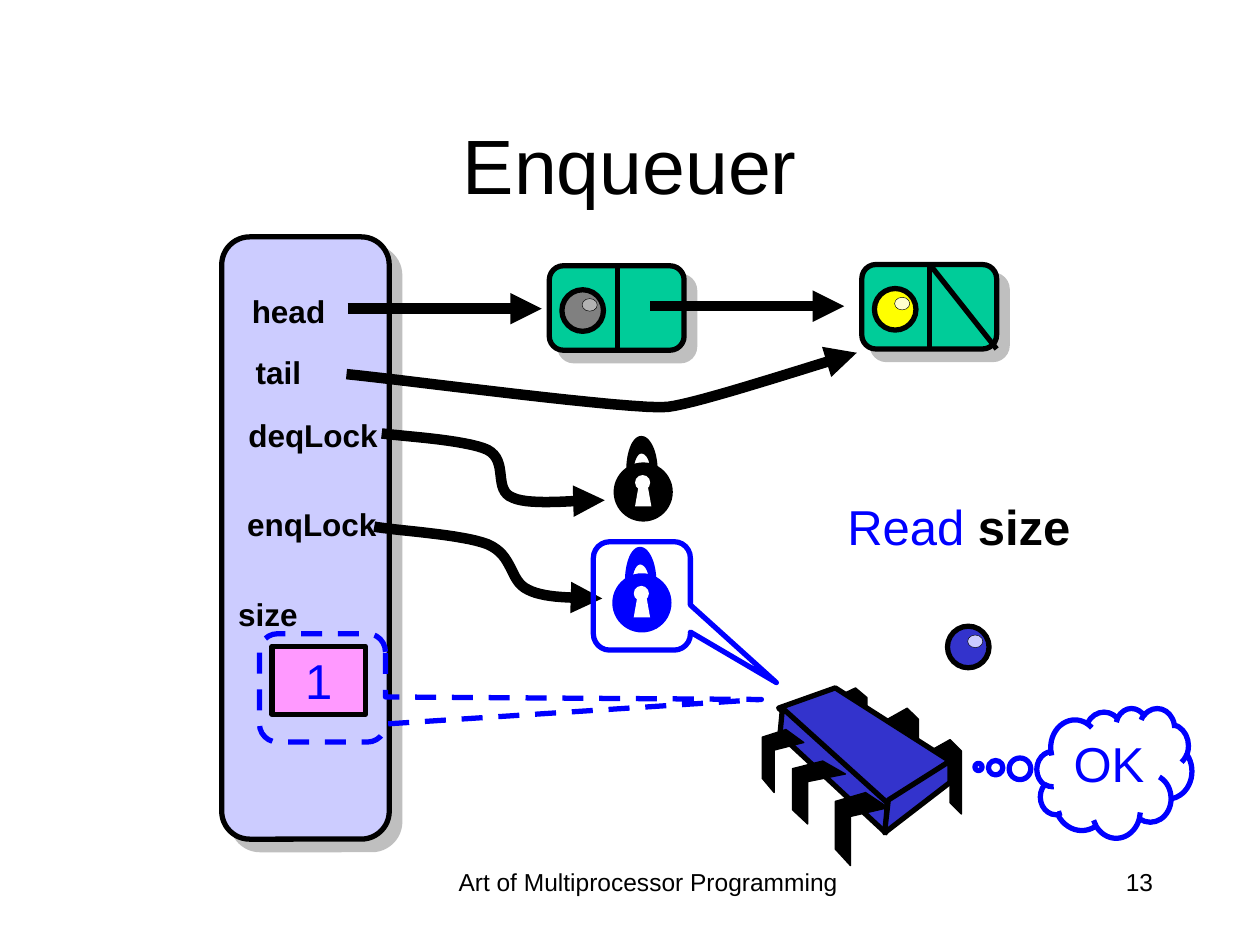
from dataclasses import dataclass
from lxml import etree
from pptx import Presentation
from pptx.dml.color import RGBColor
from pptx.enum.dml import MSO_LINE
from pptx.enum.shapes import MSO_CONNECTOR, MSO_SHAPE
from pptx.enum.text import MSO_ANCHOR, MSO_AUTO_SIZE, PP_ALIGN
from pptx.oxml.ns import qn
from pptx.util import Pt

PX = 9144  # 100 px to the inch
OVAL, RECT, ROUND = MSO_SHAPE.OVAL, MSO_SHAPE.RECTANGLE, MSO_SHAPE.ROUNDED_RECTANGLE
BUBBLE, CLOUD = MSO_SHAPE.ROUNDED_RECTANGULAR_CALLOUT, MSO_SHAPE.CLOUD_CALLOUT
STRAIGHT, DASH = MSO_CONNECTOR.STRAIGHT, MSO_LINE.DASH
CENTER, RIGHT = PP_ALIGN.CENTER, PP_ALIGN.RIGHT
TOP, MIDDLE, GROW = MSO_ANCHOR.TOP, MSO_ANCHOR.MIDDLE, MSO_AUTO_SIZE.SHAPE_TO_FIT_TEXT


@dataclass(frozen=True)
class Theme:
    font: str = "Arial"
    title: int = 44
    note: int = 28
    label: int = 18
    foot: int = 14
    thin: float = 0.25
    edge: float = 0.75
    line: int = 3
    arrow: int = 6
    black: str = "000000"
    white: str = "FFFFFF"
    blue: str = "0000FF"
    panel: str = "CCCCFF"
    node: str = "00CC99"
    chip: str = "3333CC"
    cell: str = "FF99FF"
    shade: str = "808080"
    grey: tuple = ("808080", "B2B2B2")
    yellow: tuple = ("FFFF00", "FFFFCC")
    indigo: tuple = ("3333CC", "CCCCFF")


T = Theme()
BACK_LEG = [(0, 9), (16, 0), (25, 9), (25, 59), (16, 50), (16, 17), (0, 25)]
FRONT_LEG = [(24, 0), (42, 12), (12, 19), (12, 58), (0, 45), (0, 7)]


def paint(shape, fill=None, line=None, width=T.line):
    shape.shadow.inherit = False
    if fill:
        shape.fill.solid()
        shape.fill.fore_color.rgb = RGBColor.from_string(fill)
    else:
        shape.fill.background()
    if line:
        shape.line.color.rgb = RGBColor.from_string(line)
        shape.line.width = Pt(width)
    else:
        shape.line.fill.background()
    return shape


def add(host, kind, box, *style, adj=()):
    shape = host.add_shape(kind, *(v * PX for v in box))
    for i, value in enumerate(adj):
        shape.adjustments[i] = value
    return paint(shape, *style)


def cast(shape):
    """Give the shape a half-clear shadow to the lower right."""
    effects = shape._element.spPr.find(qn("a:effectLst"))
    outer = etree.SubElement(effects, qn("a:outerShdw"), dist=str(Pt(8.5)),
                             dir="2700000", algn="ctr", rotWithShape="0")
    colour = etree.SubElement(outer, qn("a:srgbClr"), val=T.shade)
    etree.SubElement(colour, qn("a:alpha"), val="50000")


def draw(host, points, *style, close=True, at=(0, 0)):
    dots = [((x + at[0]) * PX, (y + at[1]) * PX) for x, y in points]
    pen = host.build_freeform(*dots[0], scale=1.0)
    pen.add_line_segments(dots[1:], close=close)
    return paint(pen.convert_to_shape(), *style)


def curve(points, steps=16):
    """Trace joined cubic curves: a start point, then three points for each."""
    trail = [points[0]]
    for k in range(0, len(points) - 1, 3):
        for t in (i / steps for i in range(1, steps + 1)):
            u = 1 - t
            parts = (u**3, 3 * u * u * t, 3 * u * t * t, t**3)
            quad = points[k:k + 4]
            trail.append(tuple(sum(w * p[axis] for w, p in zip(parts, quad))
                               for axis in (0, 1)))
    return trail


def point(line):
    """Put an arrowhead at the end."""
    etree.SubElement(line.line._get_or_add_ln(), qn("a:tailEnd"), type="triangle")


def link(host, start, end, width=T.line):
    line = host.add_connector(STRAIGHT, *(v * PX for v in (*start, *end)))
    line.line.color.rgb = RGBColor.from_string(T.black)
    line.line.width = Pt(width)
    etree.SubElement(line._element.spPr, qn("a:effectLst"))
    return line


def write(shape, runs, size, align=CENTER, anchor=TOP, wrap=True):
    """Fill the shape with runs of (text, colour, bold)."""
    frame = shape.text_frame
    frame.word_wrap, frame.vertical_anchor = wrap, anchor
    para = frame.paragraphs[0]
    para.alignment = align
    for text, colour, bold in runs:
        run = para.add_run()
        run.text = text
        run.font.name, run.font.size, run.font.bold = T.font, Pt(size), bold
        run.font.color.rgb = RGBColor.from_string(colour)
    return frame


def text(host, box, runs, size, **look):
    return write(host.add_textbox(*(v * PX for v in box)), runs, size, **look)


def ball(host, x, y, colours):
    group = host.add_group_shape().shapes
    add(group, OVAL, (x, y, 33, 33), colours[0], T.black)
    add(group, OVAL, (x + 16, y + 7, 12, 10), colours[1], T.black, T.thin)


def node(host, x, y, colours, last=False):
    w, h, mid = 107, 67, x + 54
    group = host.add_group_shape().shapes
    cast(add(group, ROUND, (x, y, w, h), T.node, T.black))
    link(group, (mid, y), (mid, y + h))
    if last:
        link(host, (mid, y), (x + w, y + h))
    ball(host, x + 10, y + 19, colours)


def lock(host, x, y, colour):
    group = host.add_group_shape().shapes
    add(group, OVAL, (x, y + 21, 47, 47), colour)
    add(group, OVAL, (x + 17, y + 31, 12, 12), T.white)
    draw(group, [(17, 56), (20, 39), (27, 39), (30, 56)], T.white, at=(x, y))
    inner = curve([(16, 28), (16, 20), (19, 14), (22, 14), (26, 14), (29, 20), (29, 28)])
    outer = curve([(35, 28), (35, 12), (29, 0), (22, 0), (15, 0), (10, 12), (10, 28)])
    draw(group, inner + outer, colour, at=(x, y))


def chip(host, x, y):
    group = host.add_group_shape().shapes

    def legs(shape, spots):
        wide, high = (max(v) for v in zip(*shape))
        for dx, dy, w, h in spots:
            form = [(px * w / wide, py * h / high) for px, py in shape]
            draw(group, form, T.black, T.black, T.edge, at=(x + dx, y + dy))

    legs(BACK_LEG, [(133, 41, 25, 59), (99, 16, 25, 59), (58, 0, 25, 50)])
    faces = ([(58, 0), (149, 58), (98, 93), (13, 16)],
             [(16, 16), (99, 91), (98, 115), (14, 37)],
             [(149, 58), (149, 75), (97, 115), (100, 89)])
    for face in faces:
        draw(group, face, T.chip, T.black, at=(x, y))
    legs(FRONT_LEG, [(58, 83, 42, 58), (24, 58, 42, 50), (0, 33, 33, 50)])


def queue(host, x, y):
    cast(add(host, ROUND, (x, y, 133, 478), T.panel, T.black))
    labels = (("head", 12, 39, 82), ("tail", 15, 87, 60), ("deqLock", 9, 137, 127),
              ("enqLock", 8, 208, 127), ("size", 1, 279, 71))
    for name, dx, dy, w in labels:
        text(host, (x + dx, y + dy, w, 40), [(name, T.black, True)], T.label,
             wrap=False)
    cell = add(host, RECT, (x + 40, y + 325, 74, 54), T.cell, T.black)
    write(cell, [("1", T.blue, False)], T.note, anchor=MIDDLE, wrap=False)


def arrows(host, x, y):
    point(link(host, (x + 100, y + 57), (x + 254, y + 57), T.arrow))
    point(link(host, (x + 340, y + 55), (x + 494, y + 55), T.arrow))
    tail = [(99, 109), (141, 113), (328, 138), (354, 135), (379, 132), (473, 101), (504, 92)]
    deq = [(127, 156), (141, 158), (194, 161), (211, 169), (228, 178),
           (215, 201), (231, 207), (246, 214), (289, 208), (304, 209)]
    enq = [(121, 230), (136, 233), (191, 236), (211, 244), (232, 253),
           (228, 273), (243, 280), (258, 288), (289, 286), (302, 287)]
    for route in (tail, deq, enq):
        point(draw(host, curve(route), None, T.black, T.arrow, close=False, at=(x, y)))


def callout(host, box, tip, dash=None):
    """Outline a box, with a mirrored wedge reaching for the chip."""
    shape = add(host, BUBBLE, box, None, T.blue, adj=(*tip, 0.167))
    shape._element.spPr.find(qn("a:xfrm")).set("flipH", "1")
    shape.line.dash_style = dash


def frame(host):
    text(host, (75, 67, 850, 125), [("Enqueuer", T.black, False)], T.title, anchor=MIDDLE)
    text(host, (342, 683, 345, 50), [("Art of Multiprocessor Programming", T.black, False)],
         T.foot)
    text(host, (717, 683, 208, 50), [("13", T.black, False)], T.foot, align=RIGHT)


def thread(host, x, y):
    """The enqueuing thread: its chip, new item and spoken words."""
    text(host, (x - 29, y - 157, 370, 57), [("Read ", T.blue, False), ("size", T.black, True)],
         T.note).auto_size = GROW
    cloud = add(host, CLOUD, (x + 218, y + 16, 123, 103), None, T.blue, adj=(-0.877, -0.046))
    write(cloud, [("OK", T.blue, False)], T.note)
    chip(host, x, y)
    ball(host, x + 147, y - 49, T.indigo)


def main():
    deck = Presentation()
    deck.slide_width, deck.slide_height = 1000 * PX, 750 * PX
    host = deck.slides.add_slide(deck.slide_layouts[6]).shapes
    frame(host)
    queue(host, 176, 188)
    node(host, 436, 211, T.grey)
    node(host, 684, 210, T.yellow, last=True)
    arrows(host, 176, 188)
    lock(host, 487, 346, T.black)
    callout(host, (471, 430, 77, 86), (-1.387, 0.8))
    callout(host, (206, 503, 100, 86), (-3.484, 0.107), DASH)
    thread(host, 605, 546)
    lock(host, 486, 434, T.blue)
    deck.save("out.pptx")


if __name__ == "__main__":
    main()
